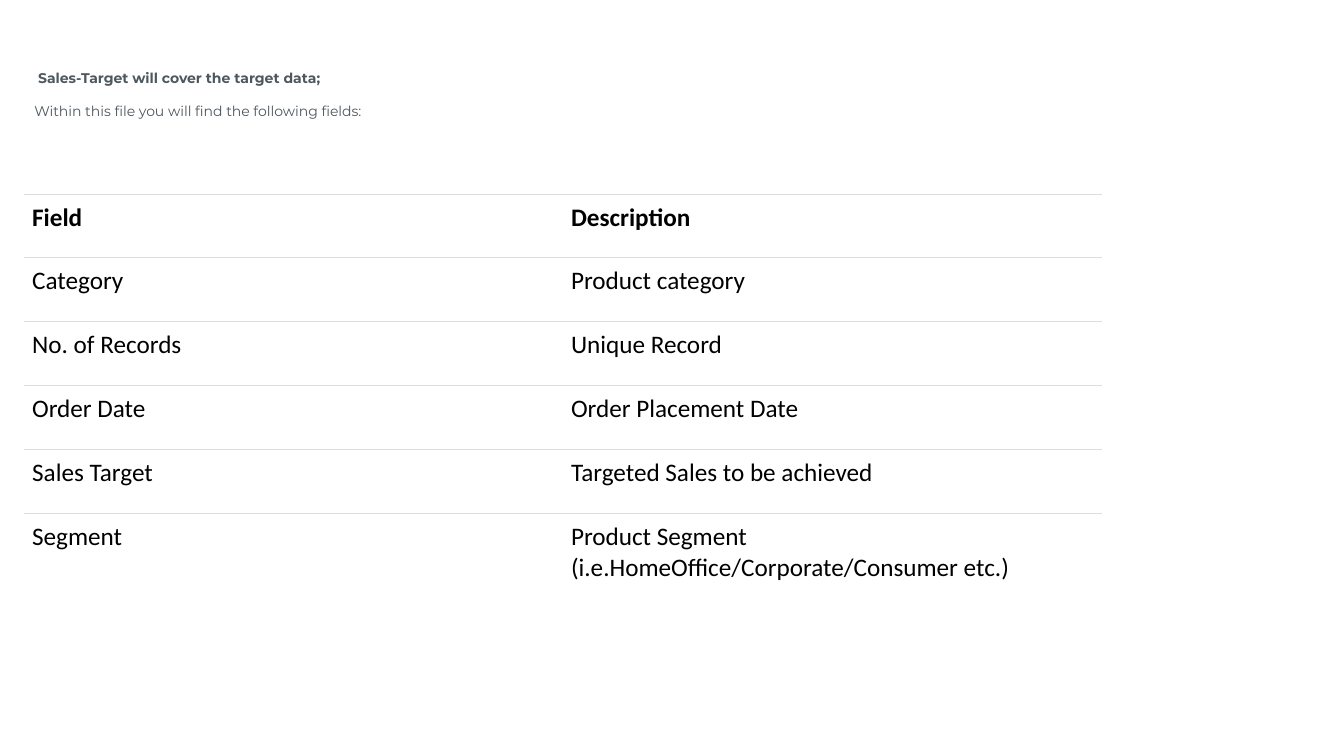
from lxml import etree
from pptx import Presentation
from pptx.dml import color
from pptx.enum import text
from pptx.oxml import ns
from pptx import util as u

HEADING = [
    ("\u00a0Sales-Target will cover the target data;", True),
    ("Within this file you will find the following fields:", False),
]
FIELDS = [
    ("Field\u00a0", "Description"),
    ("Category", "Product category"),
    ("No. of Records", "Unique Record"),
    ("Order Date", "Order Placement Date"),
    ("Sales Target", "Targeted Sales to be achieved\u00a0"),
    ("Segment", "Product Segment (i.e.HomeOffice/Corporate/Consumer etc.)"),
]
COLOURS = {"heading": "4D575D", "table": "000000", "rule": "DDDDDD", "paper": "FFFFFF"}
FORMATS = {
    "heading": {"name": "Montserrat", "size": u.Pt(10)},
    "table": {"name": "Calibri", "size": u.Pt(18)},
}
LEFT, COLUMN, ROW, LAST_ROW = u.Cm(0.61), u.Cm(13.58), u.Cm(1.61), u.Cm(3.68)
RULE_WIDTH = u.Pt(0.75)


def set_all(target, values):
    """Set each attribute named in a dict."""
    for name, value in values.items():
        setattr(target, name, value)


def write(para, words, role, bold):
    """Add one formatted run to a paragraph."""
    span = para.add_run()
    span.text = words
    set_all(span.font, FORMATS[role] | {"bold": bold})
    span.font.color.rgb = color.RGBColor.from_string(COLOURS[role])


def rule_cell(cell, ruled_sides):
    """Draw the listed sides of a cell and clear the others."""
    properties = cell._tc.get_or_add_tcPr()
    for place, side in enumerate("LRTB"):
        line = etree.Element(ns.qn(f"a:ln{side}"), w=str(int(RULE_WIDTH)))
        if side in ruled_sides:
            fill = etree.SubElement(line, ns.qn("a:solidFill"))
            etree.SubElement(fill, ns.qn("a:srgbClr"), val=COLOURS["rule"])
        else:
            etree.SubElement(line, ns.qn("a:noFill"))
        properties.insert(place, line)


def add_heading(page):
    """Place the two heading lines in the title placeholder."""
    box = page.shapes.title
    set_all(box, {"left": LEFT, "top": u.Cm(1.6), "width": u.Cm(31.8), "height": u.Cm(2.31)})
    box.fill.solid()
    box.fill.fore_color.rgb = color.RGBColor.from_string(COLOURS["paper"])
    frame = box.text_frame
    set_all(frame, {
        "word_wrap": True,
        "auto_size": text.MSO_AUTO_SIZE.NONE,
        "vertical_anchor": text.MSO_ANCHOR.TOP,
        "margin_top": u.Cm(0.15),
    })
    for index, (words, bold) in enumerate(HEADING):
        para = frame.add_paragraph() if index else frame.paragraphs[0]
        set_all(para, {"alignment": text.PP_ALIGN.LEFT, "space_before": u.Pt(11.4 * index)})
        write(para, words, "heading", bold)


def add_fields(page):
    """Add the table of fields with horizontal rules."""
    last = len(FIELDS) - 1
    table = page.shapes.add_table(
        len(FIELDS), 2, LEFT, u.Cm(4.89), 2 * COLUMN, last * ROW + LAST_ROW
    ).table
    set_all(table, {"first_row": False, "horz_banding": False})
    for column in table.columns:
        column.width = COLUMN
    margins = {f"margin_{side}": u.Cm(0.2) for side in ("left", "right", "top", "bottom")}
    for index, entries in enumerate(FIELDS):
        table.rows[index].height = LAST_ROW if index == last else ROW
        for cell, words in zip(table.rows[index].cells, entries):
            set_all(cell, margins)
            cell.fill.background()
            rule_cell(cell, "T" if index == last else "TB")
            write(cell.text_frame.paragraphs[0], words, "table", index == 0)


deck = Presentation()
set_all(deck, {"slide_width": u.Cm(33.87), "slide_height": u.Cm(19.05)})
page = deck.slides.add_slide(deck.slide_layouts.get_by_name("Title Only"))
add_heading(page)
add_fields(page)
deck.save("out.pptx")
